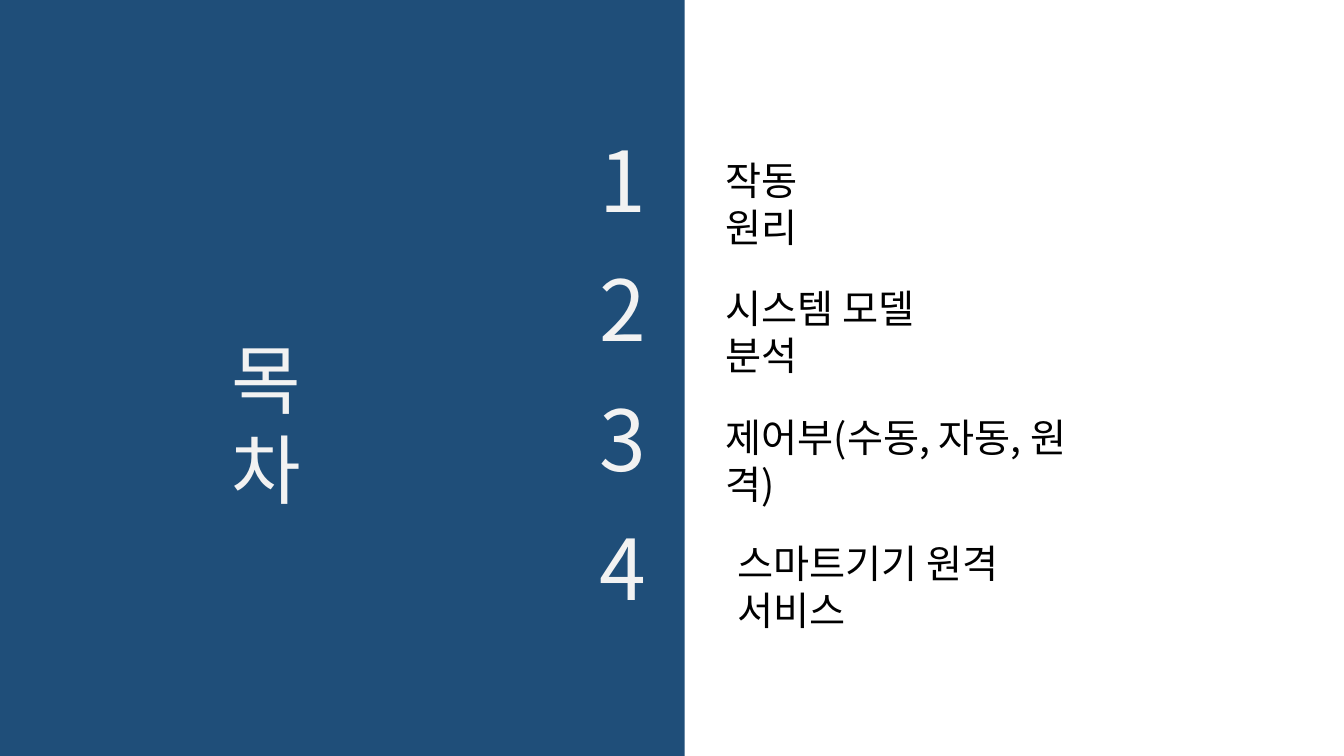
import pptx
import pptx.dml.color
import pptx.enum.shapes
import pptx.enum.text
import pptx.oxml.ns
import pptx.util
from lxml import etree

PX = 9144  # 100 px to the inch
FONT = "Noto Sans CJK KR"
COLORS = {"panel": "1F4E79", "light": "F2F2F2", "ink": "000000"}


def add_panel(x, y, w, h):
    s = slide.shapes.add_shape(pptx.enum.shapes.MSO_SHAPE.RECTANGLE,
                               x * PX, y * PX, w * PX, h * PX)
    s.shadow.inherit = False
    s.fill.solid()
    s.fill.fore_color.rgb = pptx.dml.color.RGBColor.from_string(COLORS["panel"])
    s.line.fill.background()
    return s


def set_text(s, text, size, color):
    tf = s.text_frame
    tf.word_wrap = True
    tf.auto_size = pptx.enum.text.MSO_AUTO_SIZE.SHAPE_TO_FIT_TEXT
    tf.vertical_anchor = pptx.enum.text.MSO_ANCHOR.TOP
    p = tf.paragraphs[0]
    p.text = text
    p.alignment = pptx.enum.text.PP_ALIGN.LEFT
    p.font.size = pptx.util.Pt(size)
    p.font.color.rgb = pptx.dml.color.RGBColor.from_string(COLORS[color])
    p.font.name = FONT
    # Hangul takes its typeface from the East Asian font slot
    r_pr = p.runs[0].font
    r_pr.name = FONT
    latin = p.runs[0]._r.rPr.find(pptx.oxml.ns.qn("a:latin"))
    ea = etree.Element(pptx.oxml.ns.qn("a:ea"), typeface=FONT)
    latin.addnext(ea)


prs = pptx.Presentation()
prs.slide_width, prs.slide_height = 1333 * PX, 750 * PX
slide = prs.slides.add_slide(prs.slide_layouts[6])

add_panel(0, 0, 679, 750)
set_text(add_panel(220, 325, 150, 101), "목차", 54, "light")

# Left, top and width of each entry beside its number
entries = [
    ("작동 원리", 710, 150, 169),
    ("시스템 모델 분석", 710, 277, 280),
    ("제어부(수동, 자동, 원격)", 710, 405, 405),
    ("스마트기기 원격 서비스", 722, 530, 379),
]
for i, (text, x, y, w) in enumerate(entries):
    set_text(add_panel(585, 123 + 128 * i, 75, 111), str(i + 1), 60, "light")
    s = slide.shapes.add_textbox(x * PX, y * PX, w * PX, 57 * PX)
    set_text(s, text, 28, "ink")

prs.save("out.pptx")
